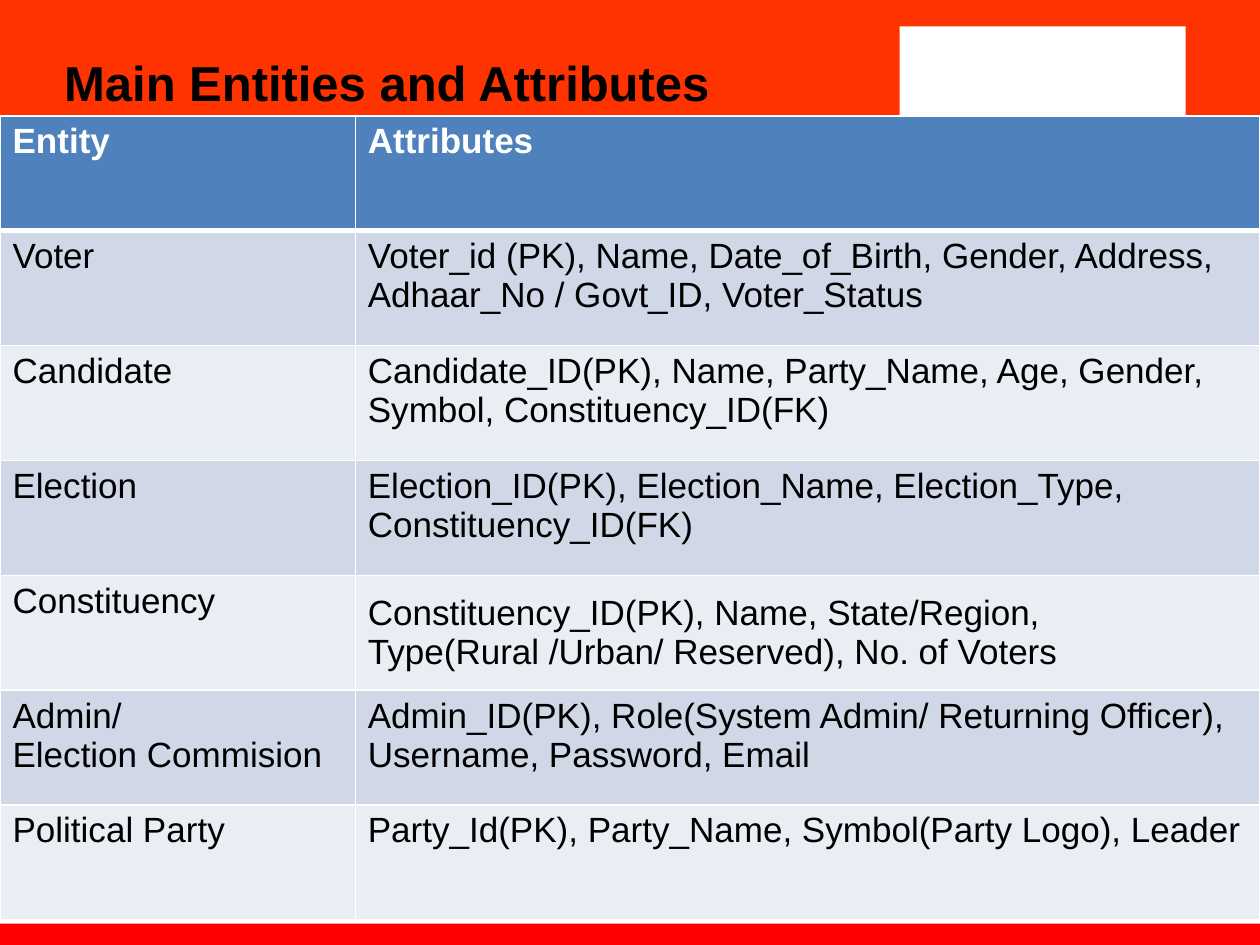
"""Build the slide that lists the main entities and their attributes."""
import pptx
import pptx.dml.color
import pptx.enum.shapes
import pptx.enum.text
import pptx.oxml
import pptx.oxml.ns
import pptx.util

RGBColor = pptx.dml.color.RGBColor
Inches = pptx.util.Inches
Anchor = pptx.enum.text.MSO_ANCHOR

ORANGE = RGBColor(0xFF, 0x33, 0x00)
RED = RGBColor(0xFF, 0x00, 0x00)
WHITE = RGBColor(0xFF, 0xFF, 0xFF)
BLACK = RGBColor(0x00, 0x00, 0x00)
HEADER = RGBColor(0x4F, 0x81, 0xBD)
BANDS = (RGBColor(0xE9, 0xED, 0xF4), RGBColor(0xD0, 0xD8, 0xE8))

WIDTH, HEIGHT = 10, 7.5
BAND_HEIGHT = 0.92
TABLE_HEIGHT = 6.38
COLUMNS = (2.82, 7.18)

ROWS = [
    ("Entity", "Attributes"),
    ("Voter", "Voter_id (PK), Name, Date_of_Birth, Gender, Address, "
              "Adhaar_No / Govt_ID, Voter_Status"),
    ("Candidate", "Candidate_ID(PK), Name, Party_Name, Age, Gender, "
                  "Symbol, Constituency_ID(FK)"),
    ("Election", "Election_ID(PK), Election_Name, Election_Type, "
                 "Constituency_ID(FK)"),
    ("Constituency", "Constituency_ID(PK), Name, State/Region, "
                     "Type(Rural /Urban/ Reserved), No. of Voters"),
    ("Admin/\nElection Commision",
     "Admin_ID(PK), Role(System Admin/ Returning Officer), "
     "Username, Password, Email"),
    ("Political Party", "Party_Id(PK), Party_Name, Symbol(Party Logo), Leader"),
]


def write(tf, text, size=20, color=BLACK, bold=False):
    """Write each line of text as a left-aligned Arial paragraph."""
    for i, line in enumerate(text.split("\n")):
        p = tf.add_paragraph() if i else tf.paragraphs[0]
        p.alignment = pptx.enum.text.PP_ALIGN.LEFT
        r = p.add_run()
        r.text = line
        r.font.name = "Arial"
        r.font.size = pptx.util.Pt(size)
        r.font.bold = bold
        r.font.color.rgb = color


def add_bar(s, left, top, width, height, color):
    """Add a plain filled rectangle."""
    sp = s.shapes.add_shape(
        pptx.enum.shapes.MSO_SHAPE.RECTANGLE,
        Inches(left), Inches(top), Inches(width), Inches(height))
    sp.shadow.inherit = False
    sp.fill.solid()
    sp.fill.fore_color.rgb = color
    sp.line.fill.background()


def set_title(s, text):
    """Place the title placeholder in front of the bars and fill it."""
    sp = s.shapes.title
    sp.left, sp.top = Inches(0.41), Inches(0.37)
    sp.width, sp.height = Inches(6.9), Inches(0.57)
    sp.element.getparent().append(sp.element)
    tf = sp.text_frame
    tf.word_wrap = True
    tf.auto_size = pptx.enum.text.MSO_AUTO_SIZE.SHAPE_TO_FIT_TEXT
    tf.vertical_anchor = Anchor.TOP
    write(tf, text, size=28, bold=True)


def set_borders(cell, **widths):
    """Draw white borders of the given point widths, keyed by side."""
    tc_pr = cell._tc.get_or_add_tcPr()
    for i, (side, width) in enumerate(widths.items()):
        tc_pr.insert(i, pptx.oxml.parse_xml(
            f'<a:ln{side} {pptx.oxml.ns.nsdecls("a")} w="{pptx.util.Pt(width)}">'
            f'<a:solidFill><a:srgbClr val="{WHITE}"/></a:solidFill></a:ln{side}>'))


def add_entity_table(s):
    """Add the table with a header row and alternating bands."""
    table = s.shapes.add_table(
        len(ROWS), len(COLUMNS), 0, Inches(BAND_HEIGHT),
        Inches(WIDTH), Inches(TABLE_HEIGHT)).table
    for column, width in zip(table.columns, COLUMNS):
        column.width = Inches(width)
    for i, row in enumerate(ROWS):
        table.rows[i].height = Inches(TABLE_HEIGHT / len(ROWS))
        header = i == 0
        for j, text in enumerate(row):
            cell = table.cell(i, j)
            cell.fill.solid()
            cell.fill.fore_color.rgb = HEADER if header else BANDS[i % 2]
            write(cell.text_frame, text,
                  color=WHITE if header else BLACK, bold=header)
            set_borders(cell, L=1, R=1, T=3 if i == 1 else 1, B=3 if header else 1)
    table.cell(4, 1).vertical_anchor = Anchor.MIDDLE


def main():
    """Build and save the slide."""
    prs = pptx.Presentation()
    prs.slide_width, prs.slide_height = Inches(WIDTH), Inches(HEIGHT)
    s = prs.slides.add_slide(prs.slide_layouts[5])
    add_bar(s, 0, 0, WIDTH, BAND_HEIGHT, ORANGE)
    add_bar(s, 0, 7.33, WIDTH, 0.22, RED)
    add_bar(s, 7.14, 0.21, 2.27, 0.75, WHITE)
    set_title(s, "Main Entities and Attributes")
    add_entity_table(s)
    prs.save("out.pptx")


if __name__ == "__main__":
    main()
